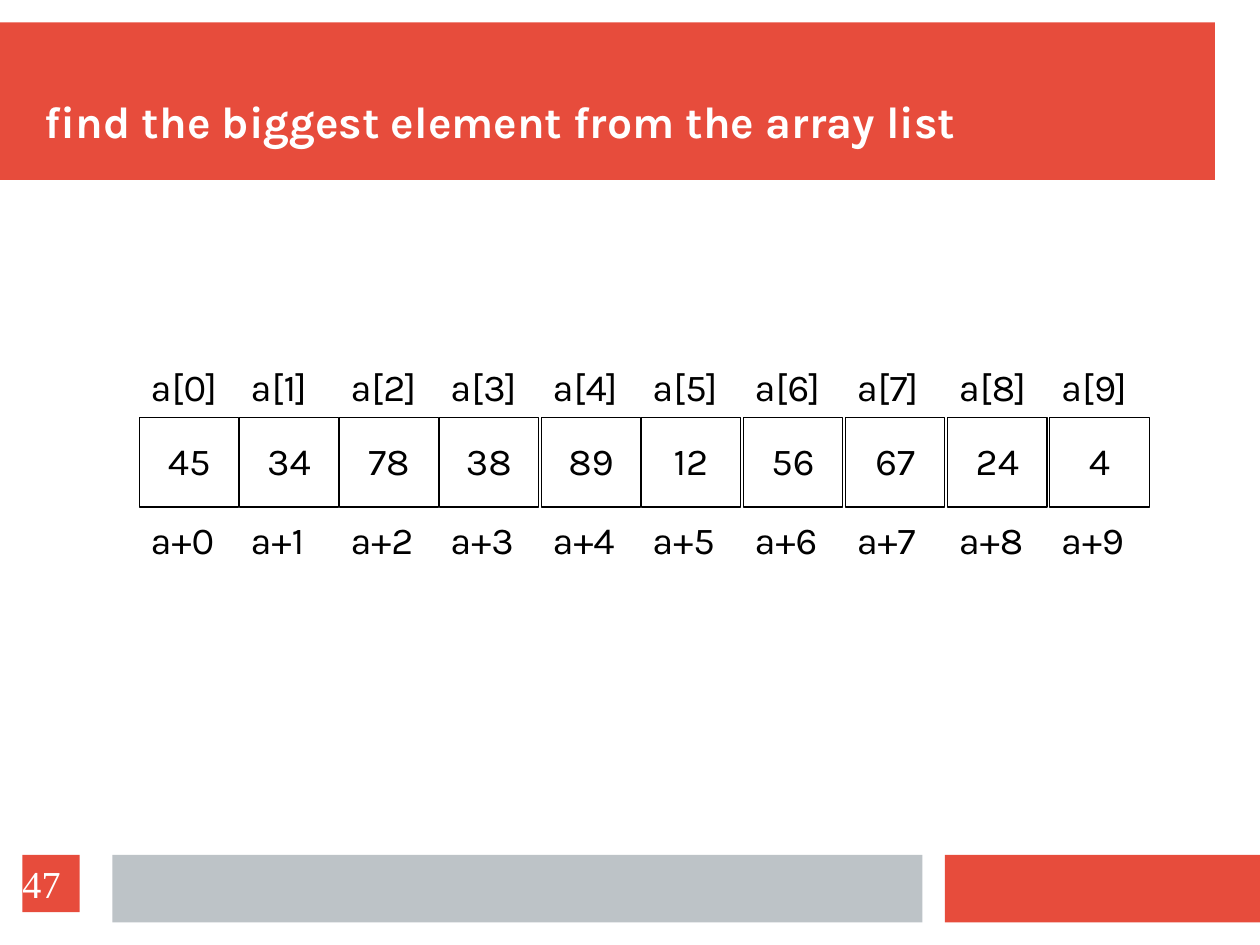
"""Build the slide showing an array with its indices and address offsets."""
from dataclasses import dataclass
from itertools import accumulate

from pptx import Presentation
from pptx.dml.color import RGBColor
from pptx.enum.shapes import MSO_SHAPE
from pptx.enum.text import MSO_ANCHOR, PP_ALIGN
from pptx.shapes.autoshape import Shape
from pptx.slide import Slide
from pptx.util import Cm, Pt

RED, GREY, WHITE, BLACK = "E74C3C", "BDC3C7", "FFFFFF", "000000"
VALUES = [45, 34, 78, 38, 89, 12, 56, 67, 24, 4]
NARROW, WIDE = 2.22, 2.27
CELL_STEPS = [NARROW] * 3 + [WIDE, NARROW] + [WIDE] * 4
CELL_LEFTS = accumulate(CELL_STEPS, initial=3.1)
CELL_WIDTH = 2.21


@dataclass
class Box:
    left: float
    top: float
    width: float
    height: float


@dataclass
class Style:
    size: int = 24
    font: str = "Karla"
    color: str = BLACK
    bold: bool = False
    align: PP_ALIGN = PP_ALIGN.LEFT
    anchor: MSO_ANCHOR = MSO_ANCHOR.TOP
    inset_x: float = 0.25
    inset_y: float = 0.13
    spacing: float = 0.97


TITLE = Style(28, color=WHITE, bold=True, anchor=MSO_ANCHOR.BOTTOM, inset_x=0, inset_y=0)
LABEL = Style()
VALUE = Style(align=PP_ALIGN.CENTER, anchor=MSO_ANCHOR.MIDDLE)
NUMBER = Style(font="Times New Roman", color=WHITE, anchor=MSO_ANCHOR.MIDDLE,
               inset_x=0, inset_y=0, spacing=1.0)


def rgb(color: str) -> RGBColor:
    return RGBColor.from_string(color)


def set_text(sp: Shape, text: str, style: Style) -> None:
    tf = sp.text_frame
    tf.word_wrap = True
    tf.vertical_anchor = style.anchor
    tf.margin_left = tf.margin_right = Cm(style.inset_x)
    tf.margin_top = tf.margin_bottom = Cm(style.inset_y)
    p = tf.paragraphs[0]
    p.text = text
    p.alignment = style.align
    p.line_spacing = style.spacing
    p.font.name = style.font
    p.font.size = Pt(style.size)
    p.font.bold = style.bold
    p.font.color.rgb = rgb(style.color)


def add_text(s: Slide, box: Box, text: str, style: Style) -> None:
    sp = s.shapes.add_textbox(Cm(box.left), Cm(box.top), Cm(box.width), Cm(box.height))
    set_text(sp, text, style)


def add_rect(s: Slide, box: Box, fill: str, line: str | None = None) -> Shape:
    sp = s.shapes.add_shape(MSO_SHAPE.RECTANGLE, Cm(box.left), Cm(box.top),
                            Cm(box.width), Cm(box.height))
    sp.shadow.inherit = False
    sp.fill.solid()
    sp.fill.fore_color.rgb = rgb(fill)
    if line:
        sp.line.color.rgb = rgb(line)
        sp.line.width = Pt(0.75)
    else:
        sp.line.fill.background()
    return sp


def add_element(s: Slide, index: int, value: int, left: float) -> None:
    cell = add_rect(s, Box(left, 9.27, CELL_WIDTH, 2), WHITE, BLACK)
    set_text(cell, str(value), VALUE)
    add_text(s, Box(left, 8, CELL_WIDTH, 1.27), f"a[{index}]", LABEL)
    add_text(s, Box(left, 11.4, CELL_WIDTH, 1.27), f"a+{index}", LABEL)


def main() -> None:
    prs = Presentation()
    prs.slide_width, prs.slide_height = Cm(28), Cm(21)
    s = prs.slides.add_slide(prs.slide_layouts[6])

    add_rect(s, Box(0, 0.5, 27, 3.5), RED)
    add_rect(s, Box(21, 19, 7, 1.5), RED)
    add_rect(s, Box(2.5, 19, 18, 1.5), GREY)
    add_text(s, Box(1, 1, 25.8, 2.3), "find the biggest element from the array list", TITLE)

    for index, (value, left) in enumerate(zip(VALUES, CELL_LEFTS)):
        add_element(s, index, value, left)

    page = add_rect(s, Box(0.5, 19, 1.27, 1.27), RED)
    set_text(page, "47", NUMBER)
    prs.save("out.pptx")


if __name__ == "__main__":
    main()
